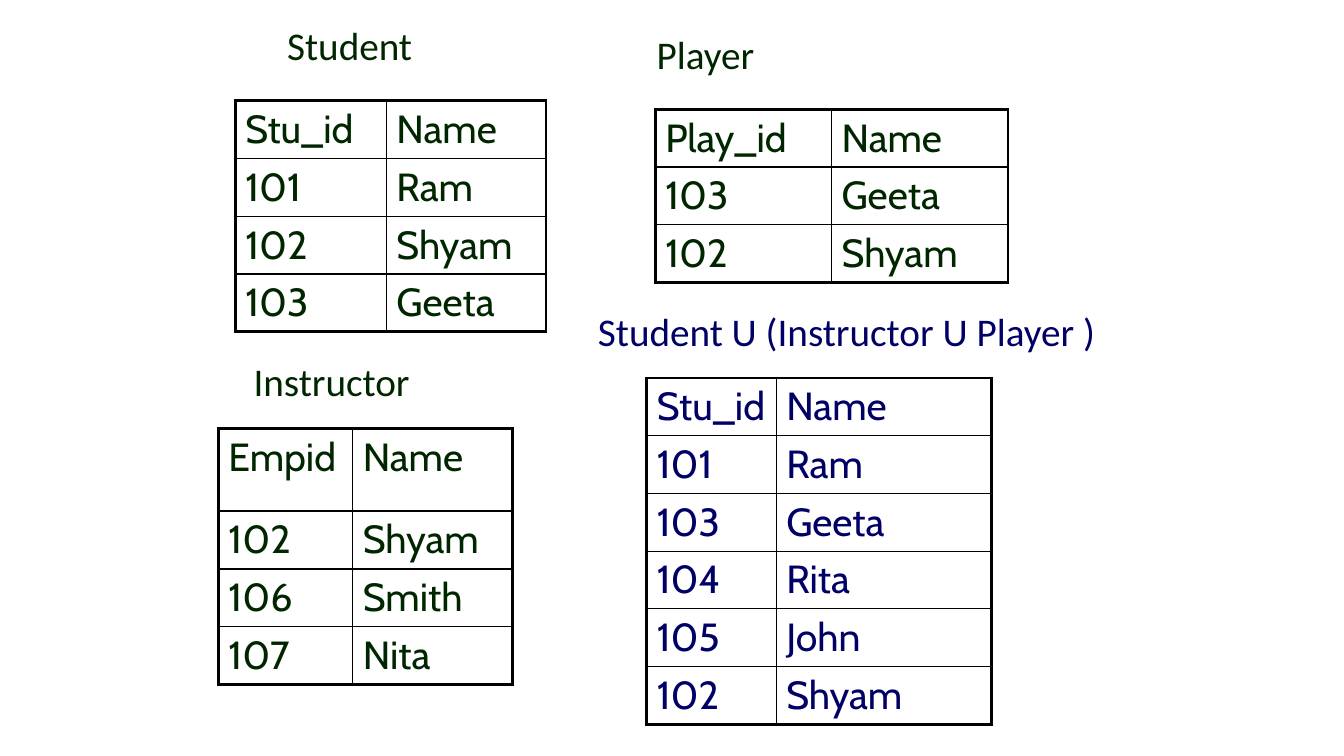
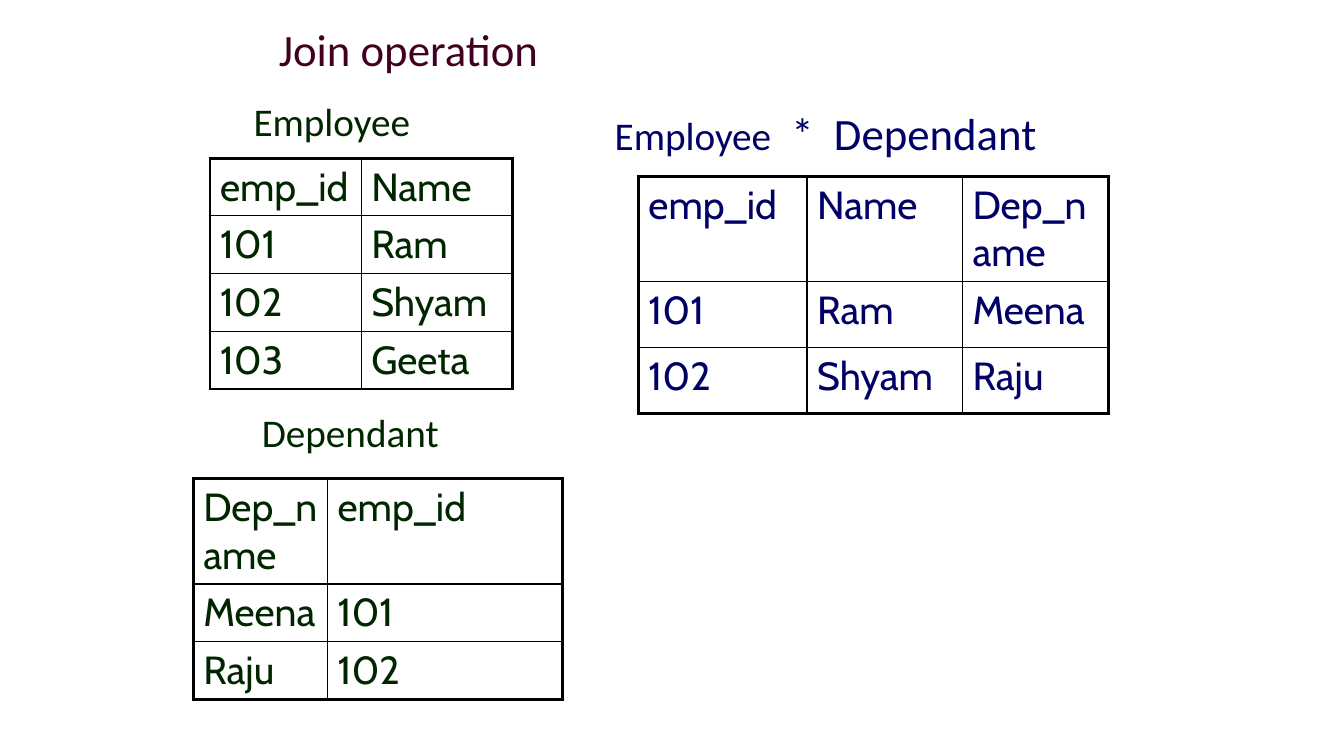
from dataclasses import dataclass

from lxml.etree import SubElement
from pptx import Presentation
from pptx.dml.color import RGBColor
from pptx.enum.text import MSO_ANCHOR, MSO_AUTO_SIZE, PP_ALIGN
from pptx.oxml.ns import qn
from pptx.util import Pt


@dataclass(frozen=True)
class Theme:
    green: str = "002600"
    blue: str = "000066"
    plum: str = "420021"
    rule: str = "000000"
    head: str = "Calibri"
    body: str = "Cabin"
    big: int = 32
    mid: int = 28
    thick: float = 2.25
    thin: float = 1


THEME = Theme()
ROW = 41      # height of a one-line row
TITLE_ONLY, BLANK = 5, 6

# A label is (box, colour, runs); a run is (text, size, letter spacing).
# A grid is (left, top, column widths, row heights, colour, rows).
SLIDES = [
    {
        "labels": [
            ((198, 12, 190, 41), THEME.green, [("Student", THEME.mid, 0)]),
            ((174, 252, 190, 41), THEME.green, [("Instructor", THEME.mid, 0)]),
            ((462, 18, 190, 41), THEME.green, [("Player", THEME.mid, 0)]),
            ((420, 216, 420, 41), THEME.blue,
             [("Student U (Instructor U Player )", THEME.mid, 0)]),
        ],
        "grids": [
            (168, 72, [108, 114], [ROW] * 4, THEME.green,
             [("Stu_id", "Name"), ("101", "Ram"), ("102", "Shyam"),
              ("103", "Geeta")]),
            (156, 306, [96, 114], [59] + [41.4] * 3, THEME.green,
             [("Empid", "Name"), ("102", "Shyam"), ("106", "Smith"),
              ("107", "Nita")]),
            (468, 78, [126, 126], [ROW] * 3, THEME.green,
             [("Play_id", "Name"), ("103", "Geeta"), ("102", "Shyam")]),
            (462, 270, [92.5, 153.5], [41.2] * 6, THEME.blue,
             [("Stu_id", "Name"), ("101", "Ram"), ("103", "Geeta"),
              ("104", "Rita"), ("105", "John"), ("102", "Shyam")]),
        ],
    },
    {
        "title": ((192, 12, 360, 45), THEME.plum,
                  [("Join operation", THEME.big, 0)]),
        "labels": [
            ((174, 66, 190, 41), THEME.green, [("Employee", THEME.mid, 0)]),
            ((180, 288, 190, 41), THEME.green, [("Dependant", THEME.mid, 0)]),
            ((432, 72, 354, 45), THEME.blue,
             [("Employee", THEME.mid, 0), (" *", THEME.big, 7.2),
              (" Dependant", THEME.big, 0)]),
        ],
        "grids": [
            (150, 113, [108, 108], [ROW] * 4, THEME.green,
             [("emp_id", "Name"), ("101", "Ram"), ("102", "Shyam"),
              ("103", "Geeta")]),
            (138, 342, [96, 168], [75, ROW, ROW], THEME.green,
             [("Dep_name", "emp_id"), ("Meena", "101"), ("Raju", "102")]),
            (456, 126, [120.5, 111, 104.5], [74.5, 47, 47], THEME.blue,
             [("emp_id", "Name", "Dep_name"), ("101", "Ram", "Meena"),
              ("102", "Shyam", "Raju")]),
        ],
    },
]


def add_run(para, text, size, color, face, gap=0):
    run = para.add_run()
    run.text = text
    run.font.size = Pt(size)
    run.font.name = face
    run.font.color.rgb = RGBColor.from_string(color)
    if gap:
        run._r.get_or_add_rPr().set("spc", str(round(gap * 100)))


def fill_label(shape, box, color, runs):
    shape.left, shape.top, shape.width, shape.height = map(Pt, box)
    frame = shape.text_frame
    frame.word_wrap = True
    frame.auto_size = MSO_AUTO_SIZE.NONE
    frame.vertical_anchor = MSO_ANCHOR.TOP
    para = frame.paragraphs[0]
    para.alignment = PP_ALIGN.LEFT
    for text, size, gap in runs:
        add_run(para, text, size, color, THEME.head, gap)


def set_edges(cell, outer):
    """Rule all four sides, thick on those that lie on the table's rim."""
    props = cell._tc.get_or_add_tcPr()
    for side in "LRTB":
        width = THEME.thick if side in outer else THEME.thin
        line = SubElement(props, qn("a:ln" + side), w=str(Pt(width)))
        fill = SubElement(line, qn("a:solidFill"))
        SubElement(fill, qn("a:srgbClr"), val=THEME.rule)


def add_grid(slide, left, top, widths, heights, color, rows):
    frame = slide.shapes.add_table(
        len(rows), len(widths), Pt(left), Pt(top),
        Pt(sum(widths)), Pt(sum(heights)))
    table = frame.table
    table.first_row = table.horz_banding = False
    for col, width in zip(table.columns, widths):
        col.width = Pt(width)
    for row, height in zip(table.rows, heights):
        row.height = Pt(height)
    for r, row in enumerate(rows):
        for c, text in enumerate(row):
            cell = table.cell(r, c)
            rim = {"L": c == 0, "R": c == len(row) - 1,
                   "T": r == 0, "B": r == len(rows) - 1}
            set_edges(cell, [side for side in rim if rim[side]])
            cell.fill.background()
            add_run(cell.text_frame.paragraphs[0], text, THEME.mid, color,
                    THEME.body)


def main():
    deck = Presentation()
    deck.slide_width, deck.slide_height = Pt(960), Pt(540)
    for page in SLIDES:
        kind = TITLE_ONLY if "title" in page else BLANK
        slide = deck.slides.add_slide(deck.slide_layouts[kind])
        if "title" in page:
            fill_label(slide.shapes.title, *page["title"])
        for box, color, runs in page["labels"]:
            shape = slide.shapes.add_textbox(*map(Pt, box))
            fill_label(shape, box, color, runs)
        for grid in page["grids"]:
            add_grid(slide, *grid)
    deck.save("out.pptx")


if __name__ == "__main__":
    main()
